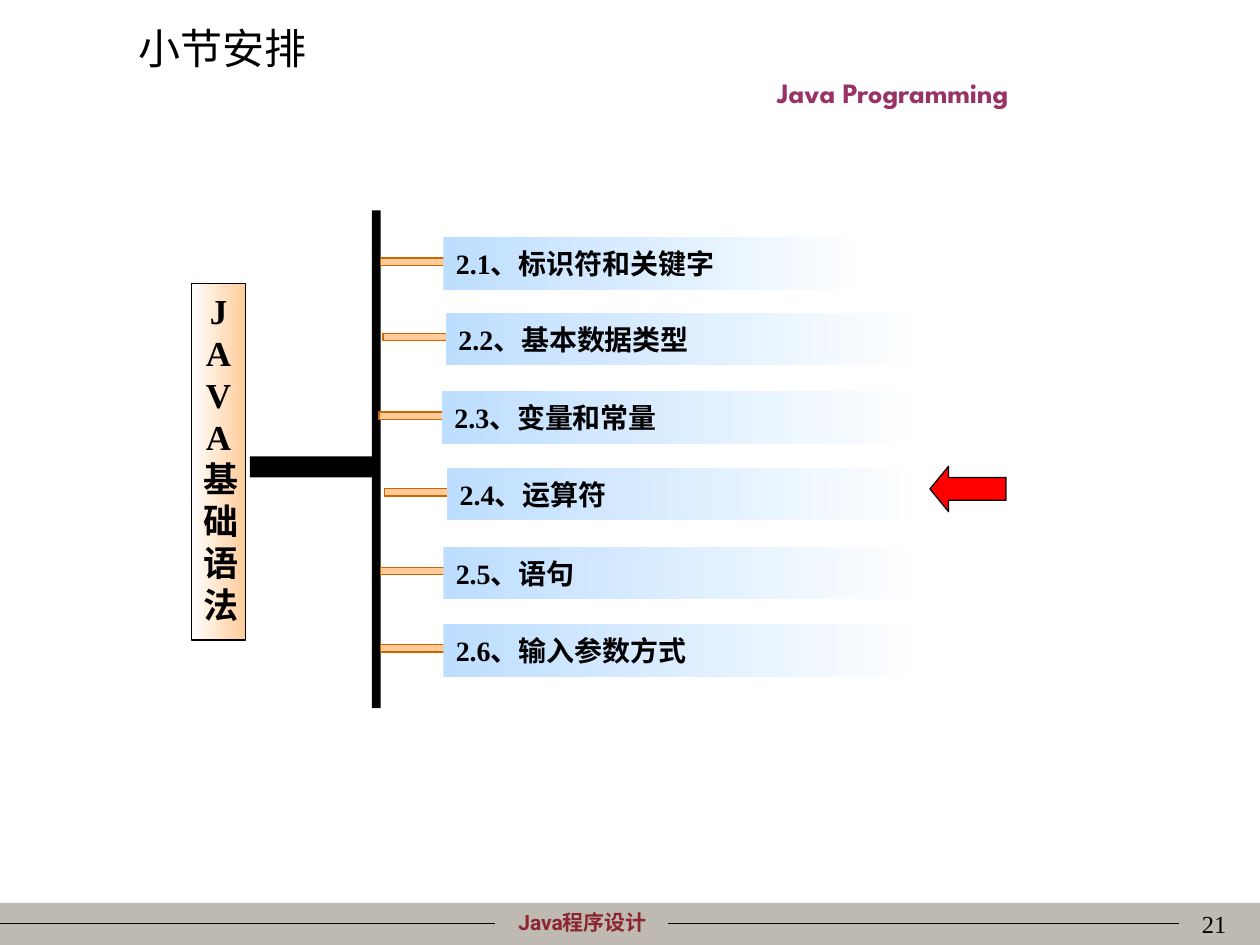
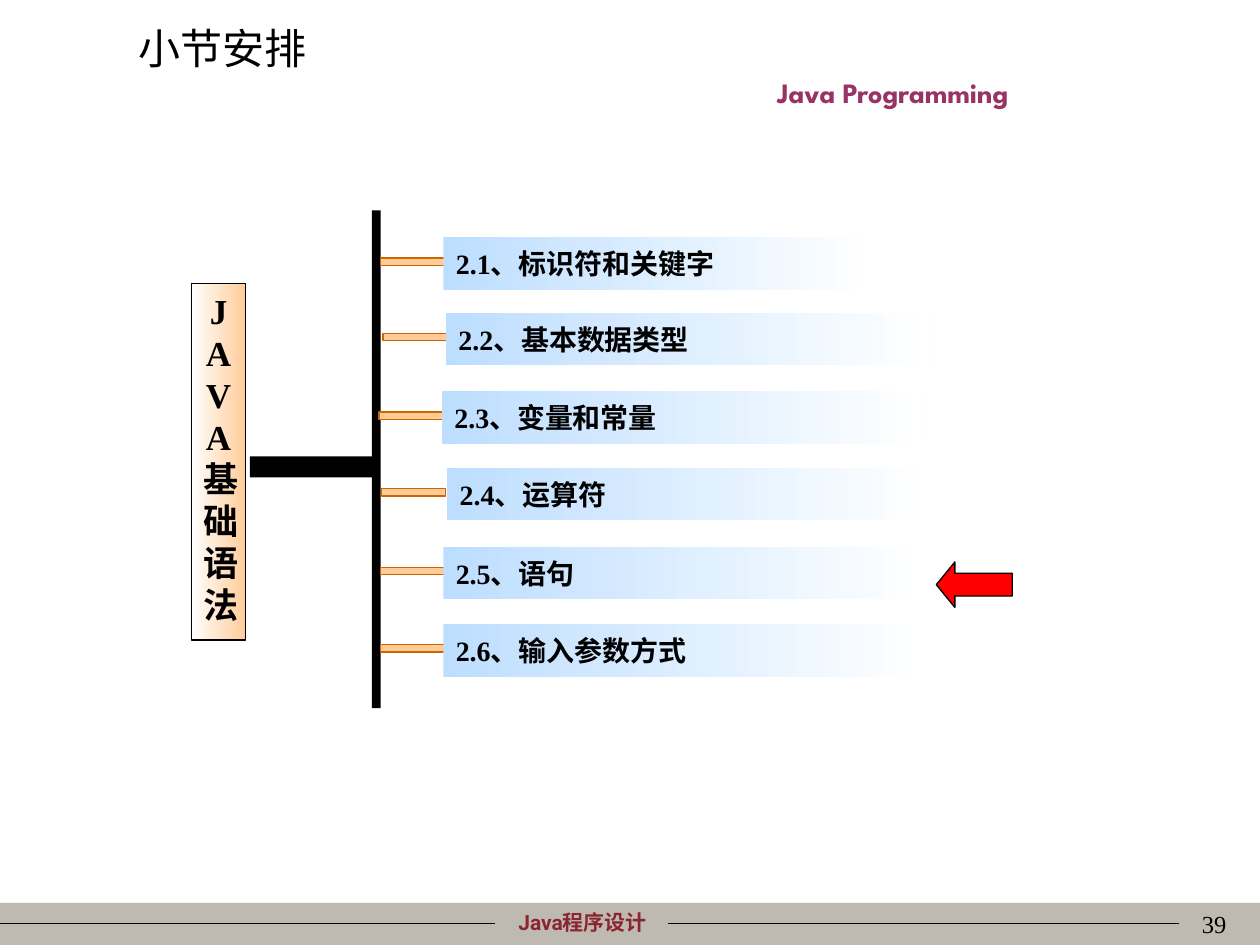
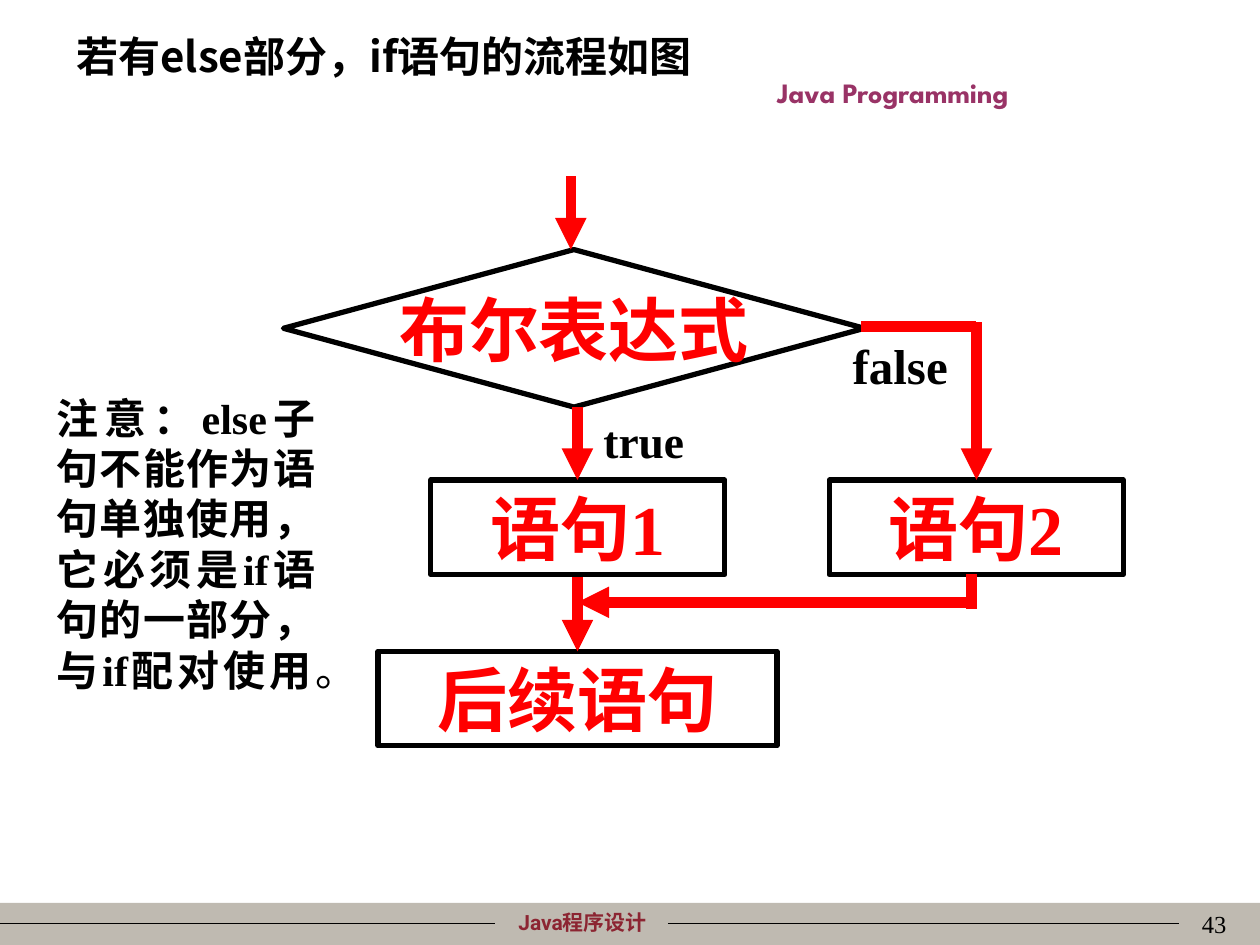
from dataclasses import dataclass

from lxml.etree import SubElement
from pptx import Presentation
from pptx.dml.color import RGBColor
from pptx.enum.shapes import MSO_CONNECTOR, MSO_SHAPE
from pptx.enum.text import MSO_ANCHOR, PP_ALIGN
from pptx.oxml.ns import qn
from pptx.util import Pt


# Theme: colours, fonts and type sizes
@dataclass(frozen=True)
class Theme:
    black: str = "000000"
    white: str = "FFFFFF"
    red: str = "FF0000"
    band: str = "BFBAB1"
    wine: str = "8C2532"
    plum: str = "993366"
    peach: str = "FFCC99"
    rust: str = "CC6600"
    sky: str = "BDDEFF"
    serif: str = "Times New Roman"
    sans: str = "Noto Sans CJK SC"
    foot_font: str = "Roboto"
    head_font: str = "League Spartan"
    foot: int = 12
    page: int = 14
    item: int = 16
    root: int = 20
    title: int = 24
    yes: int = 26
    no: int = 28
    flow: int = 40
    thin: float = 0.75
    frame: int = 3
    heavy: int = 6


LEFT, MID, RIGHT, FULL = PP_ALIGN.LEFT, PP_ALIGN.CENTER, PP_ALIGN.RIGHT, PP_ALIGN.JUSTIFY


class Deck:
    def __init__(self, theme):
        self.theme = theme
        self.show = Presentation()
        self.show.slide_width, self.show.slide_height = Pt(720), Pt(540)
        self.slide = None

    # Text, run by run; each paragraph is a list of (words, bold)
    def label(self, shape, paras, size, color=None, font=None, align=LEFT,
              middle=False, wrap=True, lead=None, inset=3.6):
        theme, frame = self.theme, shape.text_frame
        frame.word_wrap = wrap
        frame.vertical_anchor = MSO_ANCHOR.MIDDLE if middle else MSO_ANCHOR.TOP
        frame.margin_left = frame.margin_right = Pt(7.2)
        frame.margin_top = frame.margin_bottom = Pt(inset)
        for i, runs in enumerate(paras):
            para = frame.add_paragraph() if i else frame.paragraphs[0]
            para.alignment = align
            if lead:
                para.line_spacing = lead
            for words, bold in runs:
                run = para.add_run()
                run.text = words
                run.font.size, run.font.bold = Pt(size), bold
                run.font.name = font or theme.serif
                run.font.color.rgb = RGBColor.from_string(color or theme.black)
                SubElement(run._r.rPr, qn("a:ea"), typeface=theme.sans)

    def text(self, box, paras, size, **look):
        shape = self.slide.shapes.add_textbox(*map(Pt, box))
        self.label(shape, paras, size, **look)

    # Preset shape; a pair of colours makes a gradient from left to right
    def shape(self, kind, box, fill=None, line=None, width=None):
        shape = self.slide.shapes.add_shape(kind, *map(Pt, box))
        shape.shadow.inherit = False
        if fill is None:
            shape.fill.background()
        elif isinstance(fill, tuple):
            shape.fill.gradient()
            shape.fill.gradient_angle = 0
            for stop, color in zip(shape.fill.gradient_stops, fill):
                stop.color.rgb = RGBColor.from_string(color)
        else:
            shape.fill.solid()
            shape.fill.fore_color.rgb = RGBColor.from_string(fill)
        if line:
            shape.line.color.rgb = RGBColor.from_string(line)
            shape.line.width = Pt(width or self.theme.thin)
        else:
            shape.line.fill.background()
        return shape

    def rect(self, box, fill=None, line=None):
        return self.shape(MSO_SHAPE.RECTANGLE, box, fill, line)

    def line(self, ends, color, width, arrow=False):
        link = self.slide.shapes.add_connector(MSO_CONNECTOR.STRAIGHT, *map(Pt, ends))
        link.line.color.rgb = RGBColor.from_string(color)
        link.line.width = Pt(width)
        props = link._element.spPr
        if arrow:
            SubElement(props.find(qn("a:ln")), qn("a:tailEnd"), type="triangle")
        SubElement(props, qn("a:effectLst"))

    # Footer band, course name and page number
    def page(self, number):
        theme = self.theme
        self.slide = self.show.slides.add_slide(self.show.slide_layouts[6])
        self.rect((0, 516, 720, 24), theme.band)
        self.text((260.6, 516.2, 144.7, 21.6), [[("Java程序设计", True)]], theme.foot,
                  color=theme.wine, font=theme.foot_font, align=MID, middle=True)
        for start, end in ((0, 283), (381.6, 674)):
            self.line((start, 527.8, end, 527.8), theme.black, theme.thin)
        self.text((365.8, 39.6, 288.7, 26.6), [[("Java Programming", True)]], theme.item,
                  color=theme.plum, font=theme.head_font, align=MID)
        self.text((558, 516.2, 149.8, 36), [[(str(number), False)]], theme.page, align=RIGHT)

    def title(self, box, words, bold=False):
        self.text(box, [[(words, bold)]], self.theme.title, font=self.theme.sans,
                  middle=True, inset=0)

    # Boxes of the flow chart
    def step(self, kind, box, words):
        theme = self.theme
        shape = self.shape(kind, box, line=theme.black, width=theme.frame)
        self.label(shape, [[(words, True)]], theme.flow, color=theme.red,
                   align=MID, middle=True, wrap=False)

    def flow(self, *ends, arrow=True):
        self.line(ends, self.theme.red, self.theme.heavy, arrow)


# Sections: name, left, top, width
ITEMS = (
    ("2.1、标识符和关键字", 253.4, 135.4, 245.5),
    ("2.2、基本数据类型", 254.9, 178.6, 275.8),
    ("2.3、变量和常量", 252.6, 223.4, 275.8),
    ("2.4、运算符", 255.6, 267.2, 275.8),
    ("2.5、语句", 253.4, 312.3, 275.8),
    ("2.6、输入参数方式", 253.4, 356.5, 275.8),
)


def outline(deck, number, arrow, shift=0):
    theme = deck.theme
    deck.page(number)
    deck.title((72, 9.4, 205.2, 36), "小节安排")

    # Root, stem and trunk
    root = deck.rect((109.4, 162, 31, 203.8), (theme.white, theme.peach), theme.black)
    lines = [[(words, True)] for words in ("J", "A", "V", "A", "基础语法")]
    deck.label(root, lines, theme.root, align=MID, lead=Pt(24))
    deck.rect((142.8, 260.8, 72, 12), theme.black)
    deck.rect((212.6, 120.2, 5, 284.5), theme.black)

    # Rungs and section bars
    for name, left, top, width in ITEMS:
        nudge = shift if name.startswith("2.4") else 0
        deck.rect((left - 36 + nudge, top + 12, 36.6, 4.2), theme.peach, theme.rust)
        bar = deck.rect((left, top, width, 30.2), (theme.sky, theme.white))
        deck.label(bar, [[(name, True)]], theme.item, align=FULL, middle=True, lead=Pt(19.2))

    # Marker of the current section
    mark = deck.shape(MSO_SHAPE.LEFT_ARROW, (*arrow, 43.4, 26), theme.red, theme.black)
    mark.adjustments[0], mark.adjustments[1] = 0.5, 0.41


def branch(deck, number):
    theme = deck.theme
    deck.page(number)
    deck.title((36.7, 13.3, 612, 36.7), "若有else部分，if语句的流程如图", True)

    # Branch labels
    deck.text((337.7, 236.2, 101.5, 39.6), [[("true", True)]], theme.yes, lead=0.9)
    deck.text((480.2, 192.2, 95.8, 36), [[("false", True)]], theme.no, lead=0.9)

    # Decision and statements
    deck.step(MSO_SHAPE.FLOWCHART_DECISION, (162, 142.6, 332, 90), "布尔表达式")
    for box, words in (((246.2, 274.3, 168, 54), "语句1"),
                       ((473.8, 274.3, 168, 54), "语句2"),
                       ((216, 372.2, 228, 54), "后续语句")):
        deck.step(MSO_SHAPE.FLOWCHART_PROCESS, box, words)

    # Flow lines
    deck.flow(326.2, 100.8, 326.2, 142.6)
    deck.flow(330, 232.6, 330, 274.3)
    deck.flow(330, 329.8, 330, 372.2)
    deck.flow(492, 186.5, 557.6, 186.5, arrow=False)
    deck.flow(558, 184.3, 558, 274.3)
    deck.flow(555.1, 347.8, 555.1, 328.3, arrow=False)
    deck.flow(558, 344.2, 330, 344.2)

    # Note
    note = "注意：else子句不能作为语句单独使用，它必须是if语句的一部分，与if配对使用"
    deck.text((25.2, 220.5, 162, 180), [[(note, True), ("。", False)]], theme.title,
              align=FULL, lead=Pt(28.8))


def main():
    deck = Deck(Theme())
    outline(deck, 21, (531.4, 266.4))
    outline(deck, 39, (535, 321.1), shift=-1.6)
    branch(deck, 43)
    deck.show.save("out.pptx")


if __name__ == "__main__":
    main()
